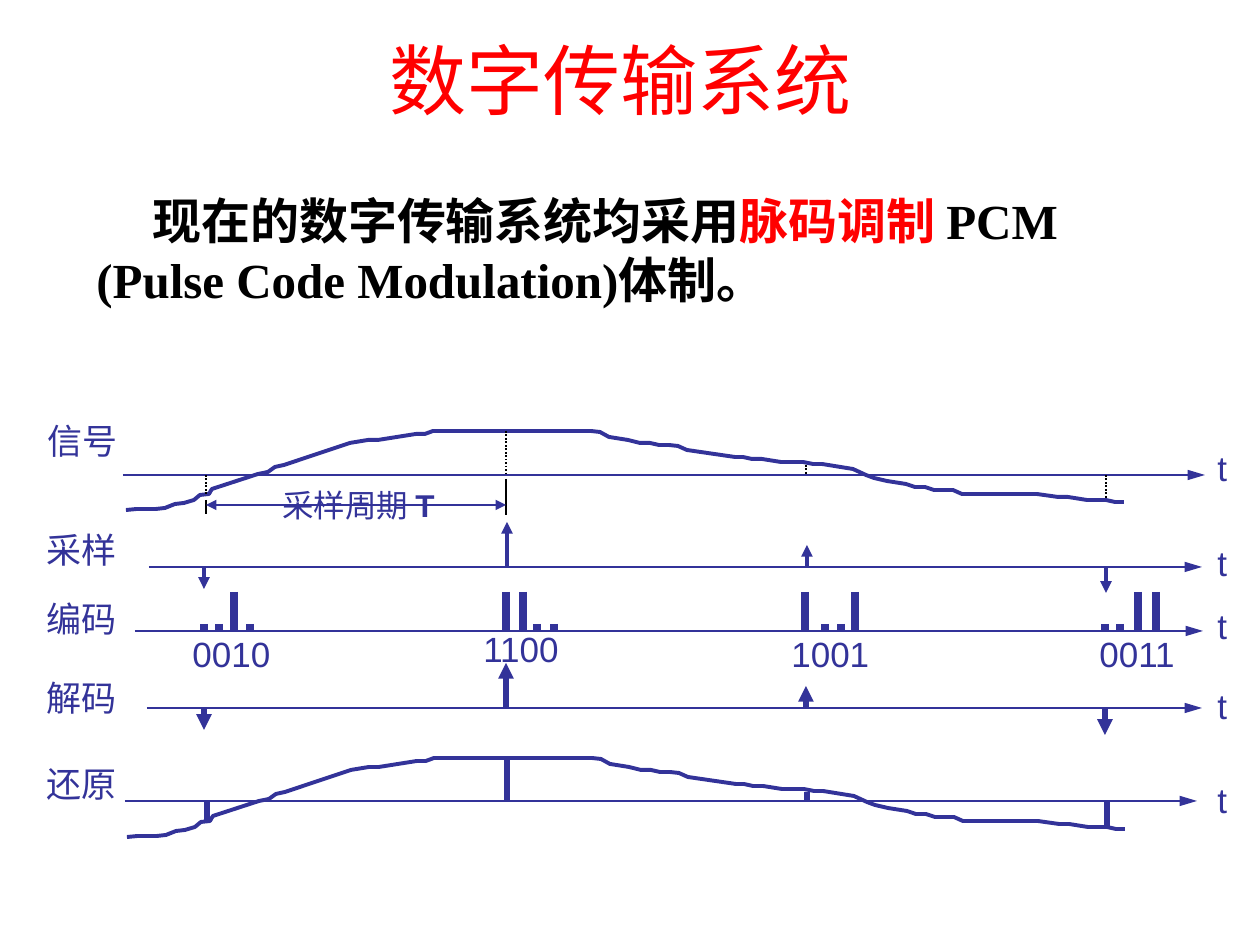
"""Build the slide on digital transmission with PCM sampling, coding and decoding."""
from dataclasses import dataclass

from pptx import Presentation
from pptx.dml.color import RGBColor
from pptx.enum.dml import MSO_LINE
from pptx.enum.shapes import MSO_CONNECTOR
from pptx.enum.text import MSO_ANCHOR, MSO_AUTO_SIZE, PP_ALIGN
from pptx.oxml.ns import qn
from pptx.util import Pt


@dataclass(frozen=True)
class Theme:
    ink: RGBColor = RGBColor(0x33, 0x33, 0x99)
    black: RGBColor = RGBColor(0, 0, 0)
    accent: RGBColor = RGBColor(0xFF, 0, 0)
    serif: str = "Times New Roman"
    sans: str = "Arial"
    title_size: int = 44
    body_size: int = 28
    label_size: int = 20
    period_size: int = 18
    thin: float = 1
    axis: float = 1.5
    curve: float = 2.25
    stem: float = 3
    bar: float = 4.5


THEME = Theme()
PX = 914400 // 126

TITLE = "数字传输系统"
STATEMENT = [
    ("现在的数字传输系统均采用", THEME.black),
    ("脉码调制 ", THEME.accent),
    ("PCM (Pulse Code Modulation)体制。", THEME.black),
]

ROWS = [
    {"name": "信号", "name_at": (35, 413), "t_top": 440, "axis": (123, 1205, 475),
     "stems": [(206, 475, 494), (506, 431, 474), (806, 465, 474), (1106, 475, 499)],
     "style": {"color": THEME.black, "width": THEME.thin, "dash": MSO_LINE.ROUND_DOT}},
    {"name": "采样", "name_at": (34, 522), "t_top": 535, "axis": (149, 1202, 567),
     "stems": [(204, 568, 589), (507, 567, 522), (807, 567, 545), (1106, 568, 593)],
     "style": {"width": THEME.curve, "tail": "med"}},
    {"name": "编码", "name_at": (34, 591), "t_top": 598, "axis": (135, 1203, 631),
     "stems": [], "style": {}},
    {"name": "解码", "name_at": (34, 670), "t_top": 678, "axis": (147, 1202, 708),
     "stems": [(204, 709, 730), (506, 708, 663), (806, 709, 686), (1105, 709, 735)],
     "style": {"width": THEME.stem, "tail": "med"}},
    {"name": "还原", "name_at": (34, 756), "t_top": 772, "axis": (125, 1197, 801),
     "stems": [(207, 802, 822), (507, 757, 801), (807, 792, 801), (1107, 802, 827)],
     "style": {"width": THEME.stem}},
]
T_LEFT = 1205

CODES = [
    ("0010", (180, 626), (204, 219, 234, 250)),
    ("1100", (471, 621), (506, 523, 537, 554)),
    ("1001", (779, 626), (805, 825, 841, 855)),
    ("0011", (1087, 626), (1105, 1120, 1138, 1156)),
]
CODE_AXIS = 631
BIT_HEIGHT = {"0": 7, "1": 39}

PERIOD = {"at": (270, 480, 185, 50), "y": 505, "ends": (206, 506)}
PERIOD_TICKS = [(206, 500, 514), (506, 479, 515)]

WAVE = [
    (126, 510), (137, 509), (156, 509), (165, 508), (175, 504), (184, 503), (194, 500),
    (200, 495), (209, 494), (212, 489), (258, 474), (268, 472), (275, 467), (284, 465),
    (350, 443), (368, 440), (378, 440), (416, 434), (425, 434), (433, 431), (591, 431),
    (600, 432), (609, 437), (628, 440), (640, 443), (650, 443), (659, 445), (669, 445),
    (678, 446), (687, 450), (735, 457), (743, 457), (752, 459), (762, 459), (781, 462),
    (803, 462), (813, 464), (822, 464), (853, 469), (866, 475), (874, 478), (887, 481),
    (906, 484), (915, 487), (925, 487), (934, 490), (953, 490), (962, 494), (1037, 494),
    (1058, 497), (1068, 497), (1087, 500), (1106, 500), (1115, 502), (1124, 502),
]
WAVE_SHIFTS = [(0, 0), (1, 327)]


def set_font(font, size, color, name):
    font.size, font.name = Pt(size), name
    font.color.rgb = color


def add_line(slide, start, end, color=THEME.ink, width=THEME.axis, dash=None, head=None, tail=None):
    ends = [value * PX for value in (*start, *end)]
    connector = slide.shapes.add_connector(MSO_CONNECTOR.STRAIGHT, *ends)
    line = connector.line
    line.color.rgb, line.width = color, Pt(width)
    if dash:
        line.dash_style = dash
    properties = line._get_or_add_ln()
    for tag, length in (("a:headEnd", head), ("a:tailEnd", tail)):
        if length:
            arrow = properties.makeelement(qn(tag), {"type": "triangle", "w": "med", "len": length})
            properties.append(arrow)
    shape_properties = connector._element.spPr
    shape_properties.append(shape_properties.makeelement(qn("a:effectLst"), {}))


def add_label(slide, text, at, size=THEME.label_size, name=THEME.sans):
    box = slide.shapes.add_textbox(*(value * PX for value in at))
    frame = box.text_frame
    frame.word_wrap, frame.auto_size = False, MSO_AUTO_SIZE.SHAPE_TO_FIT_TEXT
    paragraph = frame.paragraphs[0]
    paragraph.add_run().text = text
    set_font(paragraph.font, size, THEME.ink, name)
    return paragraph


def add_title(slide):
    title = slide.shapes.title
    title.left, title.top, title.width, title.height = 0, 0, 1241 * PX, 158 * PX
    title.text_frame.text = TITLE
    title.text_frame.vertical_anchor = MSO_ANCHOR.MIDDLE
    paragraph = title.text_frame.paragraphs[0]
    paragraph.alignment = PP_ALIGN.CENTER
    set_font(paragraph.font, THEME.title_size, THEME.accent, THEME.serif)


def add_statement(slide):
    box = slide.shapes.add_textbox(0, 184 * PX, 1207 * PX, 160 * PX)
    box.text_frame.word_wrap = True
    paragraph = box.text_frame.paragraphs[0]
    properties = paragraph._p.get_or_add_pPr()
    properties.set("marL", str(84 * PX))
    properties.set("indent", str(56 * PX))
    paragraph.font.size, paragraph.font.name, paragraph.font.bold = Pt(THEME.body_size), THEME.serif, True
    for text, color in STATEMENT:
        run = paragraph.add_run()
        run.text = text
        run.font.color.rgb = color


def add_wave(slide, dx, dy):
    points = [(x + dx, y + dy) for x, y in WAVE]
    builder = slide.shapes.build_freeform(*points[0], scale=PX)
    builder.add_line_segments(points[1:], close=False)
    wave = builder.convert_to_shape()
    wave.shadow.inherit = False
    wave.fill.background()
    wave.line.color.rgb, wave.line.width = THEME.ink, Pt(THEME.curve)


def add_row(slide, row):
    left, right, y = row["axis"]
    add_line(slide, (left, y), (right, y), tail="lg")
    for x, start, end in row["stems"]:
        add_line(slide, (x, start), (x, end), **row["style"])
    name_font = THEME.serif if row is ROWS[0] else THEME.sans
    add_label(slide, row["name"], (*row["name_at"], 95, 54), name=name_font)
    add_label(slide, "t", (T_LEFT, row["t_top"], 35, 54))


def add_period(slide):
    for x, top, bottom in PERIOD_TICKS:
        add_line(slide, (x, top), (x, bottom), THEME.black, THEME.thin)
    left, right = PERIOD["ends"]
    y = PERIOD["y"]
    add_line(slide, (left, y), (right, y), width=THEME.thin, head="med", tail="med")
    period = add_label(slide, "采样周期 ", PERIOD["at"], THEME.period_size)
    symbol = period.add_run()
    symbol.text, symbol.font.bold = "T", True


def add_codes(slide):
    for code, label_at, bit_xs in CODES:
        add_label(slide, code, (*label_at, 103, 54))
        for bit, x in zip(code, bit_xs):
            add_line(slide, (x, CODE_AXIS - BIT_HEIGHT[bit]), (x, CODE_AXIS), width=THEME.bar)


def main():
    deck = Presentation()
    deck.slide_width, deck.slide_height = 1260 * PX, 945 * PX
    slide = deck.slides.add_slide(deck.slide_layouts[5])
    add_title(slide)
    add_statement(slide)
    for shift in WAVE_SHIFTS:
        add_wave(slide, *shift)
    for row in ROWS:
        add_row(slide, row)
    add_period(slide)
    add_codes(slide)
    deck.save("out.pptx")


if __name__ == "__main__":
    main()
